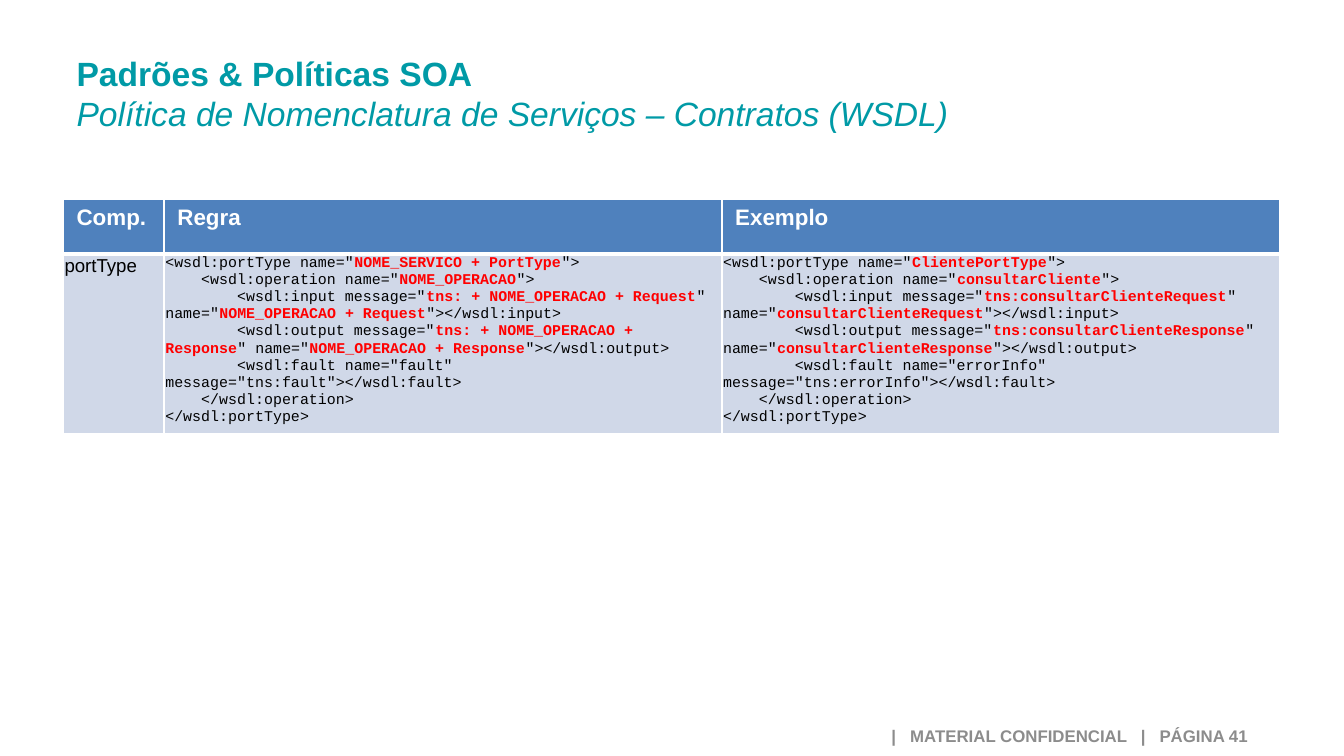
"""Build the SOA naming policy slide with its portType contract table."""
from dataclasses import dataclass

from lxml.etree import SubElement
from pptx import Presentation
from pptx.dml.color import RGBColor
from pptx.enum.text import MSO_ANCHOR, MSO_AUTO_SIZE, PP_ALIGN
from pptx.oxml.ns import qn
from pptx.util import Inches, Pt


@dataclass(frozen=True)
class Theme:
    teal: str = "009AA6"
    blue: str = "4F81BD"
    pale: str = "D0D8E8"
    white: str = "FFFFFF"
    black: str = "000000"
    red: str = "FF0000"
    gray: str = "8C8C8C"
    sans: str = "Arial"
    mono: str = "Courier New"
    title: int = 18
    head: int = 12
    body: int = 10
    foot: int = 9
    code: int = 8


theme = Theme()


def style(run, size, color, bold=False, face=theme.sans):
    font = run.font
    font.name, font.size, font.bold = face, Pt(size), bold
    font.color.rgb = RGBColor.from_string(color)


def paint(cell, color, base):
    props = cell._tc.get_or_add_tcPr()
    for side, width in (("L", 1), ("R", 1), ("T", 1), ("B", base)):
        line = SubElement(props, qn(f"a:ln{side}"), w=str(Pt(width)))
        fill = SubElement(line, qn("a:solidFill"))
        SubElement(fill, qn("a:srgbClr"), val=theme.white)
    cell.fill.solid()
    cell.fill.fore_color.rgb = RGBColor.from_string(color)


deck = Presentation()
deck.slide_width = Inches(10)
deck.slide_height = deck.slide_width * 9 // 16
slide = deck.slides.add_slide(deck.slide_layouts[5])

foot = slide.shapes.add_textbox(Inches(5.16), Inches(5.33), Inches(4.22), Inches(0.29))
frame = foot.text_frame
frame.word_wrap = True
frame.vertical_anchor = MSO_ANCHOR.MIDDLE
frame.text = "|   MATERIAL CONFIDENCIAL   |   PÁGINA 41"
frame.paragraphs[0].alignment = PP_ALIGN.RIGHT
style(frame.paragraphs[0].runs[0], theme.foot, theme.gray, True)

title = slide.shapes.title
title.left, title.top = Inches(0.47), Inches(0.34)
title.width, title.height = Inches(7.4), Inches(0.71)
frame = title.text_frame
frame.auto_size = MSO_AUTO_SIZE.SHAPE_TO_FIT_TEXT
frame.vertical_anchor = MSO_ANCHOR.TOP
para = frame.paragraphs[0]
para.text = "Padrões & Políticas SOA\vPolítica de Nomenclatura de Serviços – Contratos (WSDL)"
para.alignment = PP_ALIGN.LEFT
name, topic = para.runs
style(name, theme.title, theme.teal, True)
style(topic, theme.title, theme.teal)
topic.font.italic = True

holder = slide.shapes.add_table(
    2, 3, Inches(0.47), Inches(1.48), Inches(9.06), Inches(1.75)
)
grid = holder.table
grid.horz_banding = False
for column, width in zip(grid.columns, (0.75, 4.15, 4.15)):
    column.width = Inches(width)
for row in grid.rows:
    row.height = Inches(0.41)
holder.width, holder.height = Inches(9.06), Inches(1.75)

for cell, label in zip(grid.rows[0].cells, ("Comp.", "Regra", "Exemplo")):
    paint(cell, theme.blue, 3)
    cell.text_frame.text = label
    style(cell.text_frame.paragraphs[0].runs[0], theme.head, theme.white, True)

for cell in grid.rows[1].cells:
    paint(cell, theme.pale, 1)
    cell.margin_left = cell.margin_right = cell.margin_top = Inches(0.01)
    cell.margin_bottom = 0

part = grid.cell(1, 0).text_frame
part.text = "portType"
style(part.paragraphs[0].runs[0], theme.body, theme.black)

contract = (
    (0, '<wsdl:portType name="*{port}{plus}PortType*">'),
    (1, '<wsdl:operation name="*{verb}*">'),
    (2, '<wsdl:input message="*tns:{plus}{verb}{plus}Request*" '
        'name="*{verb}{plus}Request*"></wsdl:input>'),
    (2, '<wsdl:output message="*tns:{plus}{verb}{plus}Response*" '
        'name="*{verb}{plus}Response*"></wsdl:output>'),
    (2, '<wsdl:fault name="{fault}" message="tns:{fault}"></wsdl:fault>'),
    (1, "</wsdl:operation>"),
    (0, "</wsdl:portType>"),
)
rule = dict(port="NOME_SERVICO", verb="NOME_OPERACAO", plus=" + ", fault="fault")
sample = dict(port="Cliente", verb="consultarCliente", plus="", fault="errorInfo")
tab = " " * 4

for col, names in enumerate((rule, sample), 1):
    para = grid.cell(1, col).text_frame.paragraphs[0]
    for index, (level, line) in enumerate(contract):
        if index:
            para.add_line_break()
        code = tab * level + line.format(**names)
        for turn, text in enumerate(code.split("*")):
            run = para.add_run()
            run.text = text
            key = turn % 2 == 1
            style(run, theme.code, theme.red if key else theme.black, key, theme.mono)
    for gap in para._p.findall(qn("a:br")):
        SubElement(gap, qn("a:rPr"), sz=str(theme.code * 100))
    SubElement(para._p, qn("a:endParaRPr"), sz=str(theme.code * 100))

deck.save("out.pptx")
